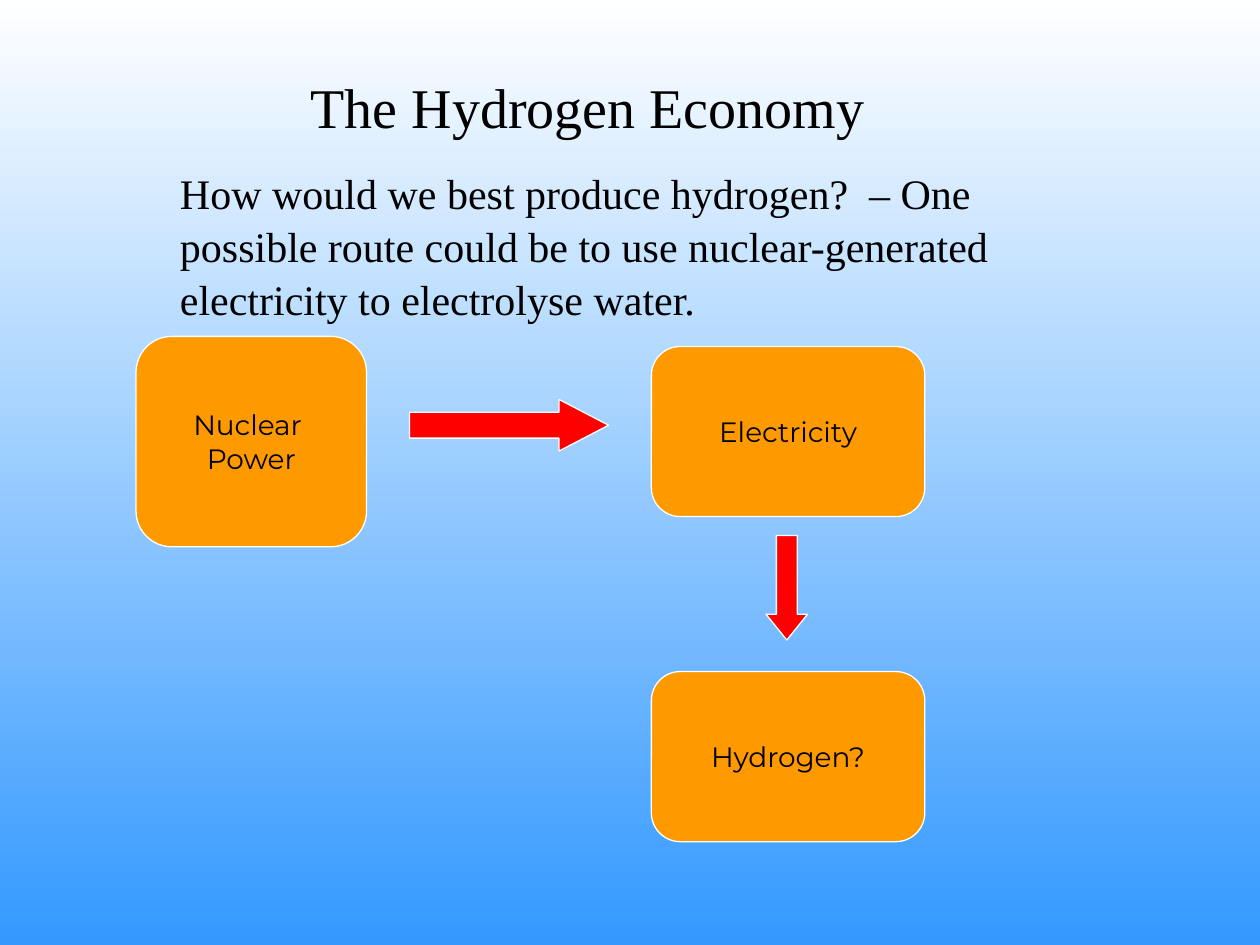
from dataclasses import dataclass

from pptx import Presentation
from pptx.dml.color import RGBColor
from pptx.enum.shapes import MSO_SHAPE
from pptx.enum.text import MSO_ANCHOR, MSO_AUTO_SIZE, PP_ALIGN
from pptx.util import Inches, Pt

ROUNDED_BOX = MSO_SHAPE.ROUNDED_RECTANGLE
RIGHT_ARROW = MSO_SHAPE.RIGHT_ARROW
DOWN_ARROW = MSO_SHAPE.DOWN_ARROW
LEFT, CENTER = PP_ALIGN.LEFT, PP_ALIGN.CENTER
TOP, MIDDLE = MSO_ANCHOR.TOP, MSO_ANCHOR.MIDDLE
NO_AUTOFIT = MSO_AUTO_SIZE.NONE
TITLE_ONLY = 5


@dataclass(frozen=True)
class Theme:
    sky_top: RGBColor = RGBColor(0xFF, 0xFF, 0xFF)
    sky_bottom: RGBColor = RGBColor(0x33, 0x99, 0xFF)
    box: RGBColor = RGBColor(0xFF, 0x99, 0x00)
    arrow: RGBColor = RGBColor(0xFF, 0x00, 0x00)
    outline: RGBColor = RGBColor(0xFF, 0xFF, 0xFF)
    text: RGBColor = RGBColor(0x00, 0x00, 0x00)
    outline_width: Pt = Pt(0.75)
    text_font: str = "Times New Roman"
    box_font: str = "Montserrat"
    title_size: Pt = Pt(32)
    body_size: Pt = Pt(24)
    box_size: Pt = Pt(16)


THEME = Theme()


def paint_background(slide):
    fill = slide.background.fill
    fill.gradient()
    fill.gradient_angle = 270
    for stop, color in zip(fill.gradient_stops, (THEME.sky_top, THEME.sky_bottom)):
        stop.color.rgb = color


def place(shape, left, top, width, height):
    position = {"left": left, "top": top, "width": width, "height": height}
    for name, value in position.items():
        setattr(shape, name, Inches(value))


def write_text(shape, text, font_name, size, alignment, anchor, wrap, line_spacing=1.0):
    """Fill a shape with text, one paragraph for each line."""
    frame = shape.text_frame
    frame.text = text
    frame_format = {
        "auto_size": NO_AUTOFIT, "word_wrap": wrap, "vertical_anchor": anchor,
        "margin_left": Inches(0.1), "margin_right": Inches(0.1),
        "margin_top": Inches(0.05), "margin_bottom": Inches(0.05),
    }
    for name, value in frame_format.items():
        setattr(frame, name, value)
    for paragraph in frame.paragraphs:
        paragraph.alignment = alignment
        paragraph.line_spacing = line_spacing
        for run in paragraph.runs:
            run.font.name = font_name
            run.font.size = size
            run.font.color.rgb = THEME.text


def add_heading(slide, text, bounds):
    title = slide.shapes.title
    place(title, *bounds)
    write_text(title, text, THEME.text_font, THEME.title_size, CENTER, TOP, True, 1.05)


def add_body(slide, text, bounds):
    body = slide.shapes.add_textbox(*map(Inches, bounds))
    write_text(body, text, THEME.text_font, THEME.body_size, LEFT, TOP, True, 1.05)


def add_outlined_shape(slide, kind, bounds, color, adjustments):
    shape = slide.shapes.add_shape(kind, *map(Inches, bounds))
    shape.shadow.inherit = False
    shape.fill.solid()
    shape.fill.fore_color.rgb = color
    shape.line.color.rgb = THEME.outline
    shape.line.width = THEME.outline_width
    for index, value in enumerate(adjustments):
        shape.adjustments[index] = value
    return shape


def add_step(slide, label, bounds):
    box = add_outlined_shape(slide, ROUNDED_BOX, bounds, THEME.box, [0.17])
    write_text(box, label, THEME.box_font, THEME.box_size, CENTER, MIDDLE, False)


def add_arrow(slide, kind, bounds, head_length):
    add_outlined_shape(slide, kind, bounds, THEME.arrow, [0.5, head_length])


def main():
    presentation = Presentation()
    presentation.slide_width = Inches(10)
    presentation.slide_height = Inches(7.5)
    slide = presentation.slides.add_slide(presentation.slide_layouts[TITLE_ONLY])
    paint_background(slide)

    # Heading and question
    add_heading(slide, "The Hydrogen Economy", (1.33, 0.5, 6.67, 0.76))
    add_body(
        slide,
        "How would we best produce hydrogen?  – One possible route could be "
        "to use nuclear-generated electricity to electrolyse water.",
        (1.33, 1.26, 6.67, 1.28),
    )

    # Production route
    add_step(slide, "Nuclear \nPower", (1.08, 2.67, 1.83, 1.67))
    add_arrow(slide, RIGHT_ARROW, (3.25, 3.17, 1.58, 0.41), 0.96)
    add_step(slide, "Electricity", (5.17, 2.75, 2.17, 1.35))
    add_arrow(slide, DOWN_ARROW, (6.08, 4.25, 0.33, 0.83), 0.62)
    add_step(slide, "Hydrogen?", (5.17, 5.33, 2.17, 1.35))

    presentation.save("out.pptx")


if __name__ == "__main__":
    main()
